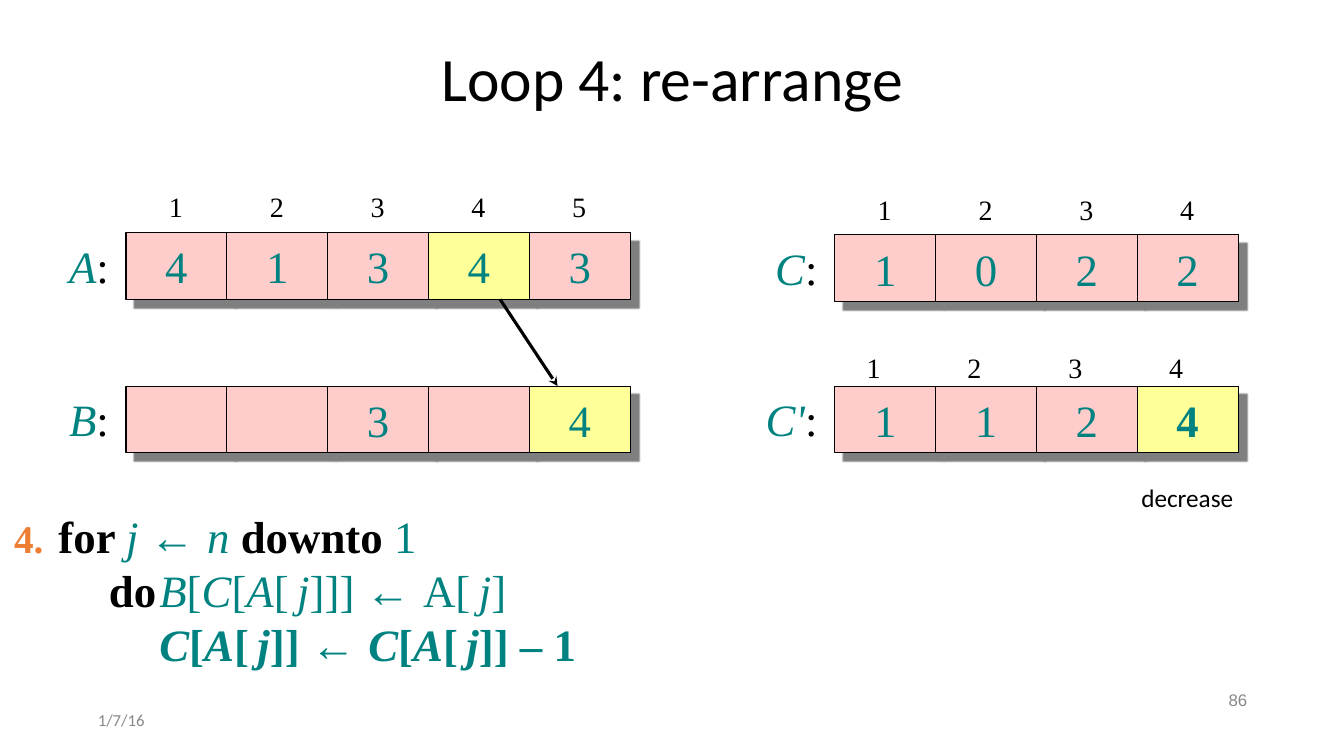
from lxml.etree import SubElement
from pptx import Presentation
from pptx.dml.color import RGBColor
from pptx.enum.shapes import MSO_CONNECTOR, MSO_SHAPE
from pptx.enum.text import MSO_ANCHOR as ANCHOR, PP_ALIGN as ALIGN
from pptx.oxml import parse_xml
from pptx.oxml.ns import nsdecls, qn
from pptx.util import Pt

PX = 9144
SERIF = "Times New Roman"
COLORS = {
    "black": "000000",
    "teal": "008380",
    "pink": "FFCCCC",
    "yellow": "FFFF99",
    "orange": "ED7D31",
    "gray": "888888",
    "shadow": "808080",
}

prs = Presentation()
prs.slide_width, prs.slide_height = 1333 * PX, 750 * PX
s = prs.slides.add_slide(prs.slide_layouts[6])


def add_box(x, y, w, h, wrap=True, anchor=ANCHOR.TOP):
    tf = s.shapes.add_textbox(x * PX, y * PX, w * PX, h * PX).text_frame
    tf.margin_left = tf.margin_right = tf.margin_top = tf.margin_bottom = 5 * PX
    tf.word_wrap = wrap
    tf.vertical_anchor = anchor
    return tf.paragraphs[0]


def add_text(p, text, size=32, color="teal", font=SERIF, bold=False, italic=False, align=None):
    r = p.add_run()
    r.text = text
    r.font.size = Pt(size)
    r.font.name = font
    r.font.bold = bold
    r.font.italic = italic
    r.font.color.rgb = RGBColor.from_string(COLORS[color])
    if align is not None:
        p.alignment = align


p = add_box(92, 31, 1150, 100, anchor=ANCHOR.MIDDLE)
p.line_spacing = 0.9
add_text(p, "Loop 4: re-arrange", size=44, color="black", font="Calibri", align=ALIGN.CENTER)

CELL_W, CELL_H = 100, 66
arrays = [
    ("A", 51, 125, 231, ["4", "1", "3", "4", "3"], 3, (162, 183)),
    ("B", 51, 125, 383, ["", "", "3", "", "4"], 4, None),
    ("C", 53, 828, 233, ["1", "0", "2", "2"], None, (865, 186)),
    ("C'", 63, 828, 383, ["1", "1", "2", "4"], 3, (854, 343)),
]
for name, name_w, left, top, values, marked, index_at in arrays:
    p = add_box(left - 12 - name_w, top + 1, name_w, 60, wrap=False)
    add_text(p, name, italic=True, align=ALIGN.RIGHT)
    add_text(p, ":", color="black")
    for i, value in enumerate(values):
        cell = s.shapes.add_shape(
            MSO_SHAPE.RECTANGLE, (left + i * CELL_W) * PX, top * PX, CELL_W * PX, CELL_H * PX)
        cell.fill.solid()
        cell.fill.fore_color.rgb = RGBColor.from_string(COLORS["yellow" if i == marked else "pink"])
        cell.line.color.rgb = RGBColor.from_string(COLORS["black"])
        cell.line.width = Pt(0.75)
        cell.shadow.inherit = False
        effects = cell._element.spPr.find(qn("a:effectLst"))
        effects.append(parse_xml(
            f'<a:outerShdw {nsdecls("a")} blurRad="{Pt(1)}" dist="{Pt(8.5)}" dir="2700000" '
            f'algn="ctr" rotWithShape="0"><a:srgbClr val="{COLORS["shadow"]}"/></a:outerShdw>'))
        tf = cell.text_frame
        tf.margin_top = tf.margin_bottom = 0
        tf.vertical_anchor = ANCHOR.MIDDLE
        if value:
            add_text(tf.paragraphs[0], value, bold=name == "C'" and i == marked, align=ALIGN.CENTER)
        if index_at:
            x, y = index_at
            p = add_box(x + i * CELL_W, y, 25, 41, wrap=False)
            add_text(p, str(i + 1), size=20, color="black", align=ALIGN.CENTER)

arrow = s.shapes.add_connector(MSO_CONNECTOR.STRAIGHT, 496 * PX, 297 * PX, 553 * PX, 383 * PX)
arrow.line.color.rgb = RGBColor.from_string(COLORS["black"])
arrow.line.width = Pt(2.25)
SubElement(arrow.line._get_or_add_ln(), qn("a:tailEnd"), type="stealth")
SubElement(arrow._element.spPr, qn("a:effectLst"))

STYLES = {
    "key": dict(color="black", bold=True),
    "var": dict(italic=True),
    "sym": dict(),
    "arrow": dict(font="Arial"),
    "gap": dict(size=24, italic=True),
    "bold var": dict(bold=True, italic=True),
    "bold sym": dict(bold=True),
    "bold gap": dict(size=24, bold=True, italic=True),
}
target = [("C", "bold var"), ("[", "bold sym"), ("A", "bold var"), ("[", "bold sym"),
          (" ", "bold gap"), ("j", "bold var")]
code = [
    [("for ", "key"), ("j ", "var"), ("← ", "arrow"), ("n ", "var"), ("downto ", "key"), ("1", "sym")],
    [("do\t", "key"), ("B", "var"), ("[", "sym"), ("C", "var"), ("[", "sym"), ("A", "var"),
     ("[", "sym"), (" ", "gap"), ("j", "var"), ("]]] ", "sym"), ("← ", "arrow"),
     ("A[", "sym"), (" ", "gap"), ("j", "var"), ("]", "sym")],
    [("\t", "key"), *target, ("]] ", "bold sym"), ("← ", "arrow"), *target, ("]] – 1", "bold sym")],
]
first = add_box(53, 500, 1228, 173)
tf = first._parent
for n, line in enumerate(code):
    p = tf.add_paragraph() if n else first
    if n:
        pPr = p._p.get_or_add_pPr()
        pPr.set("marL", "0")
        pPr.set("indent", str(50 * PX))
        tabs = SubElement(pPr, qn("a:tabLst"))
        SubElement(tabs, qn("a:tab"), pos=str(100 * PX), algn="l")
    for text, style in line:
        add_text(p, text, **STYLES[style])

p = add_box(9, 505, 125, 53)
p.space_before = Pt(16)
add_text(p, "4.", size=28, color="orange", bold=True)

p = add_box(92, 700, 300, 29, anchor=ANCHOR.MIDDLE)
add_text(p, "1/7/16", size=12, color="gray", font="Calibri")
p = add_box(942, 680, 300, 29, anchor=ANCHOR.MIDDLE)
add_text(p, "86", size=12, color="gray", font="Arial", align=ALIGN.RIGHT)
p = add_box(1127, 474, 103, 41, wrap=False)
add_text(p, "decrease", size=18, color="black", font="Calibri")

prs.save("out.pptx")
